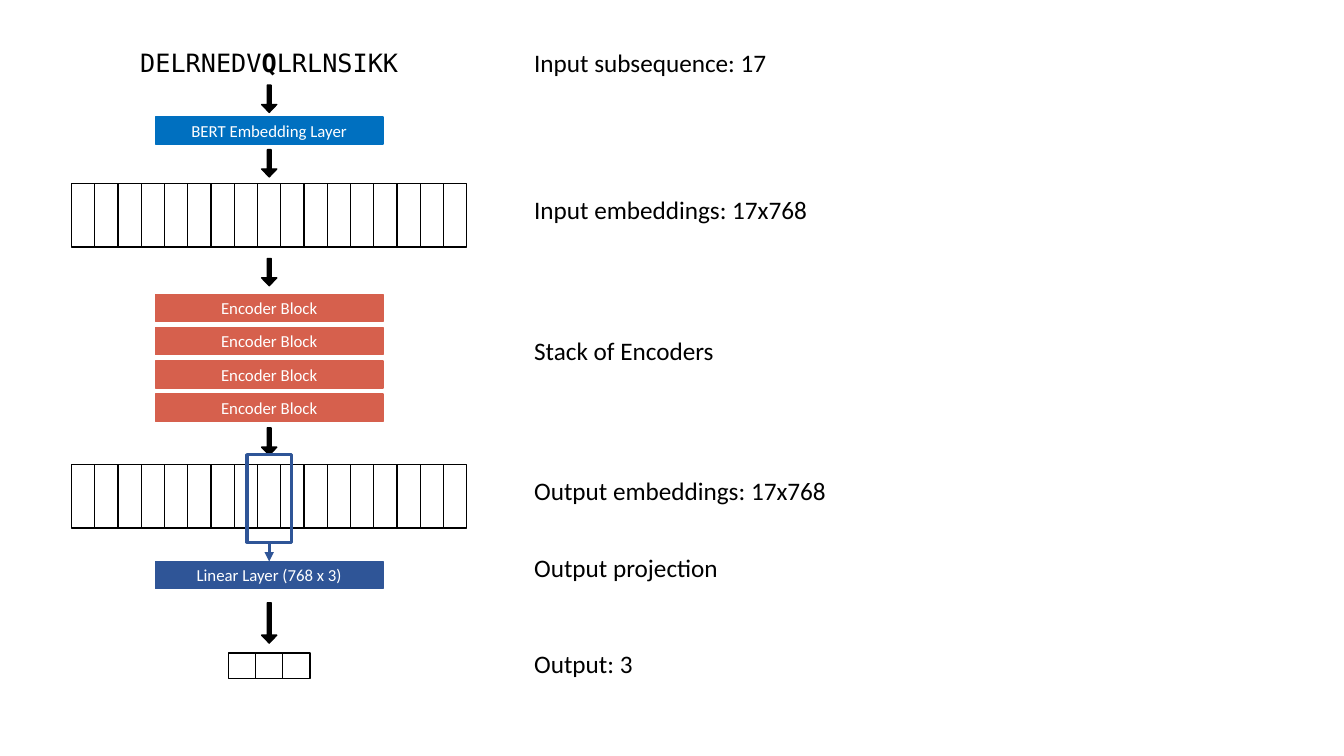
"""Build a slide showing a BERT encoder pipeline from subsequence to output."""
from dataclasses import dataclass
from lxml.etree import SubElement
from pptx import Presentation
from pptx.dml.color import RGBColor
from pptx.enum.shapes import MSO_CONNECTOR as Connector, MSO_SHAPE as Shape
from pptx.enum.text import MSO_ANCHOR as Anchor, MSO_AUTO_SIZE as AutoSize, PP_ALIGN as Align
from pptx.oxml.ns import qn
from pptx.util import Inches, Pt


@dataclass(frozen=True)
class Theme:
    """Colours, fonts and type sizes of the slide."""
    black: str = "000000"
    white: str = "FFFFFF"
    embedding: str = "0070C0"
    encoder: str = "D6604D"
    linear: str = "2F5597"
    font: str = "Calibri"
    mono: str = "DejaVu Sans Mono"
    label_size: int = 18
    layer_size: int = 12
    thin: float = 1
    thick: float = 2.25


THEME = Theme()
CENTER = 2.67
LAYER_WIDTH, LAYER_HEIGHT = 2.26, 0.27
EMBEDDING_WIDTH, EMBEDDING_HEIGHT = 3.92, 0.63
ENCODER_TOP, ENCODER_PITCH = 2.92, 0.33
LABELS = [
    ("Input subsequence: 17", 0.42),
    ("Input embeddings: 17x768", 1.88),
    ("Stack of Encoders", 3.28),
    ("Output embeddings: 17x768", 4.67),
    ("Output projection", 5.43),
    ("Output: 3", 6.38),
]
ARROWS = [(0.98, 0.27), (1.62, 0.27), (2.7, 0.27), (4.38, 0.27), (6.18, 0.4)]


def rgb(color):
    """Turn a hex string into a colour."""
    return RGBColor.from_string(color)


def add_span(para, text, color, size, font=THEME.font, bold=False):
    """Append one run of text to a paragraph."""
    span = para.add_run()
    span.text = text
    span.font.name, span.font.size, span.font.bold = font, Pt(size), bold
    span.font.color.rgb = rgb(color)


def add_box(shapes, kind, left, top, width, height, fill, line, weight=THEME.thin):
    """Add a preset shape with an outline and an optional fill."""
    box = shapes.add_shape(kind, Inches(left), Inches(top), Inches(width), Inches(height))
    box.shadow.inherit = False
    if fill:
        box.fill.solid()
        box.fill.fore_color.rgb = rgb(fill)
    else:
        box.fill.background()
    box.line.color.rgb = rgb(line)
    box.line.width = Pt(weight)
    return box


def add_text(page, left, top, width):
    """Add a one-line text box and return its paragraph."""
    frame = page.shapes.add_textbox(Inches(left), Inches(top), Inches(width), Inches(0.4)).text_frame
    frame.word_wrap = True
    frame.auto_size = AutoSize.SHAPE_TO_FIT_TEXT
    return frame.paragraphs[0]


def add_sequence(page):
    """Add the input subsequence with its central residue in bold."""
    width = 2.93
    para = add_text(page, CENTER - width / 2, 0.42, width)
    para.alignment = Align.CENTER
    for text, bold in (("DELRNEDV", False), ("Q", True), ("LRLNSIKK", False)):
        add_span(para, text, THEME.black, THEME.label_size, THEME.mono, bold)


def add_layer(page, text, top, color):
    """Add a coloured network layer with a centred caption."""
    left = CENTER - LAYER_WIDTH / 2
    layer = add_box(page.shapes, Shape.RECTANGLE, left, top, LAYER_WIDTH, LAYER_HEIGHT, color, color)
    layer.text_frame.vertical_anchor = Anchor.MIDDLE
    para = layer.text_frame.paragraphs[0]
    para.alignment = Align.CENTER
    add_span(para, text, THEME.white, THEME.layer_size)


def add_cells(page, count, top, width, height):
    """Add a centred, grouped row of equal cells."""
    group = page.shapes.add_group_shape()
    pitch = width / count
    for index in range(count):
        left = CENTER - width / 2 + index * pitch
        add_box(group.shapes, Shape.RECTANGLE, left, top, pitch, height, THEME.white, THEME.black)


def add_arrow(page, middle, length):
    """Add a black block arrow pointing down around a middle height."""
    breadth = 0.15
    arrow = add_box(page.shapes, Shape.RIGHT_ARROW, CENTER - length / 2, middle - breadth / 2,
                    length, breadth, THEME.black, THEME.black)
    arrow.rotation = 90
    arrow.adjustments[0] = 0.25
    arrow.adjustments[1] = 0.52


def add_selection(page):
    """Frame the central output embedding and link it to the linear layer."""
    width, top, bottom = 0.44, 4.51, 5.38
    add_box(page.shapes, Shape.RECTANGLE, CENTER - width / 2, top, width, bottom - top,
            None, THEME.linear, THEME.thick)
    link = page.shapes.add_connector(Connector.STRAIGHT, Inches(CENTER), Inches(bottom),
                                     Inches(CENTER), Inches(5.57))
    link.line.color.rgb = rgb(THEME.linear)
    link.line.width = Pt(THEME.thick)
    SubElement(link.line._get_or_add_ln(), qn("a:tailEnd"), type="triangle")
    SubElement(link._element.spPr, qn("a:effectLst"))


def main():
    """Build and save the slide."""
    deck = Presentation()
    deck.slide_width, deck.slide_height = Inches(13.33), Inches(7.5)
    page = deck.slides.add_slide(deck.slide_layouts[6])
    add_sequence(page)
    for text, top in LABELS:
        add_span(add_text(page, 5.2, top, 3.66), text, THEME.black, THEME.label_size)
    for middle, length in ARROWS:
        add_arrow(page, middle, length)
    add_layer(page, "BERT Embedding Layer", 1.16, THEME.embedding)
    for index in range(4):
        add_layer(page, "Encoder Block", ENCODER_TOP + index * ENCODER_PITCH, THEME.encoder)
    add_layer(page, "Linear Layer (768 x 3)", 5.57, THEME.linear)
    for top in (1.82, 4.61):
        add_cells(page, 17, top, EMBEDDING_WIDTH, EMBEDDING_HEIGHT)
    add_cells(page, 3, 6.48, 0.81, 0.25)
    add_selection(page)
    deck.save("out.pptx")


main()
